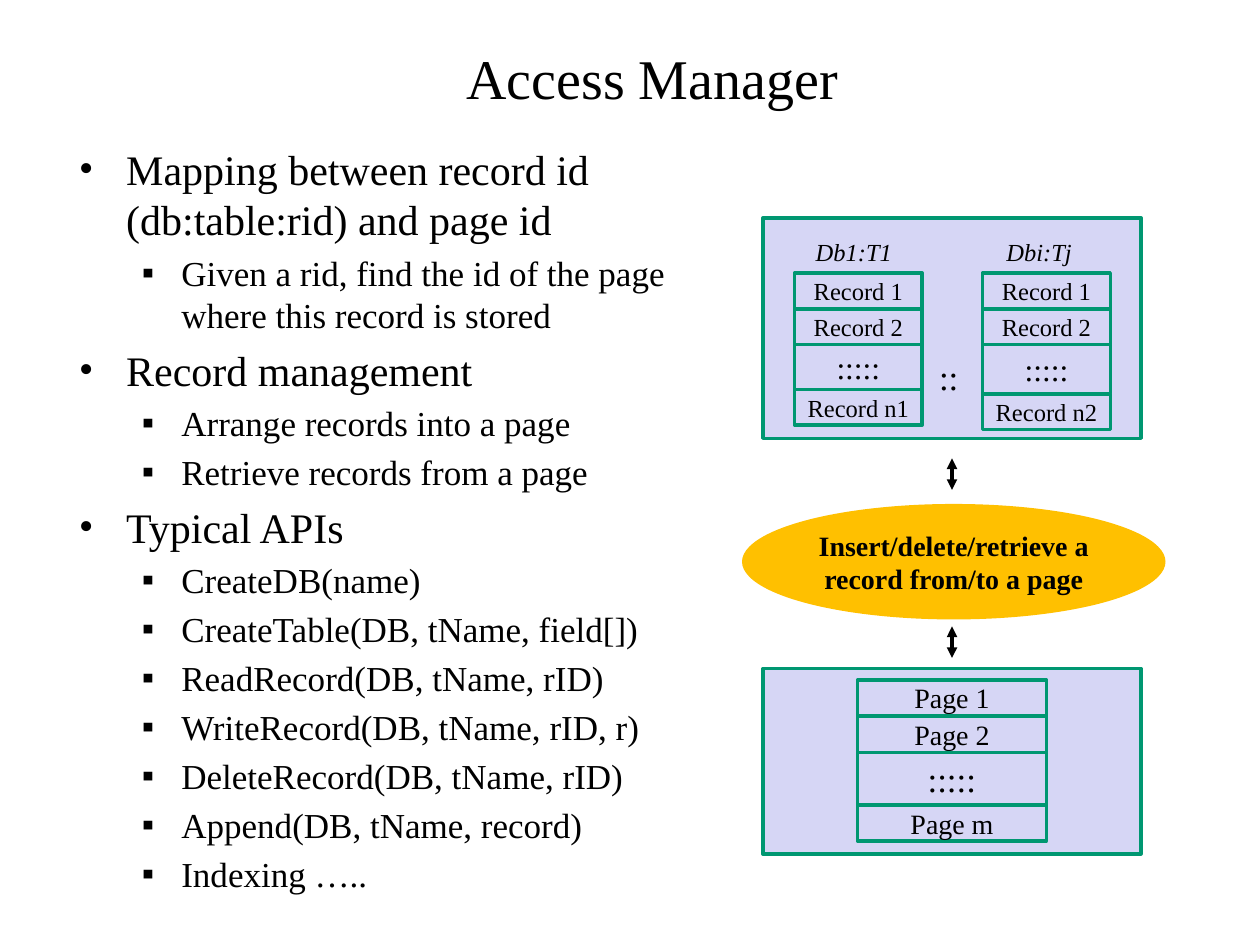
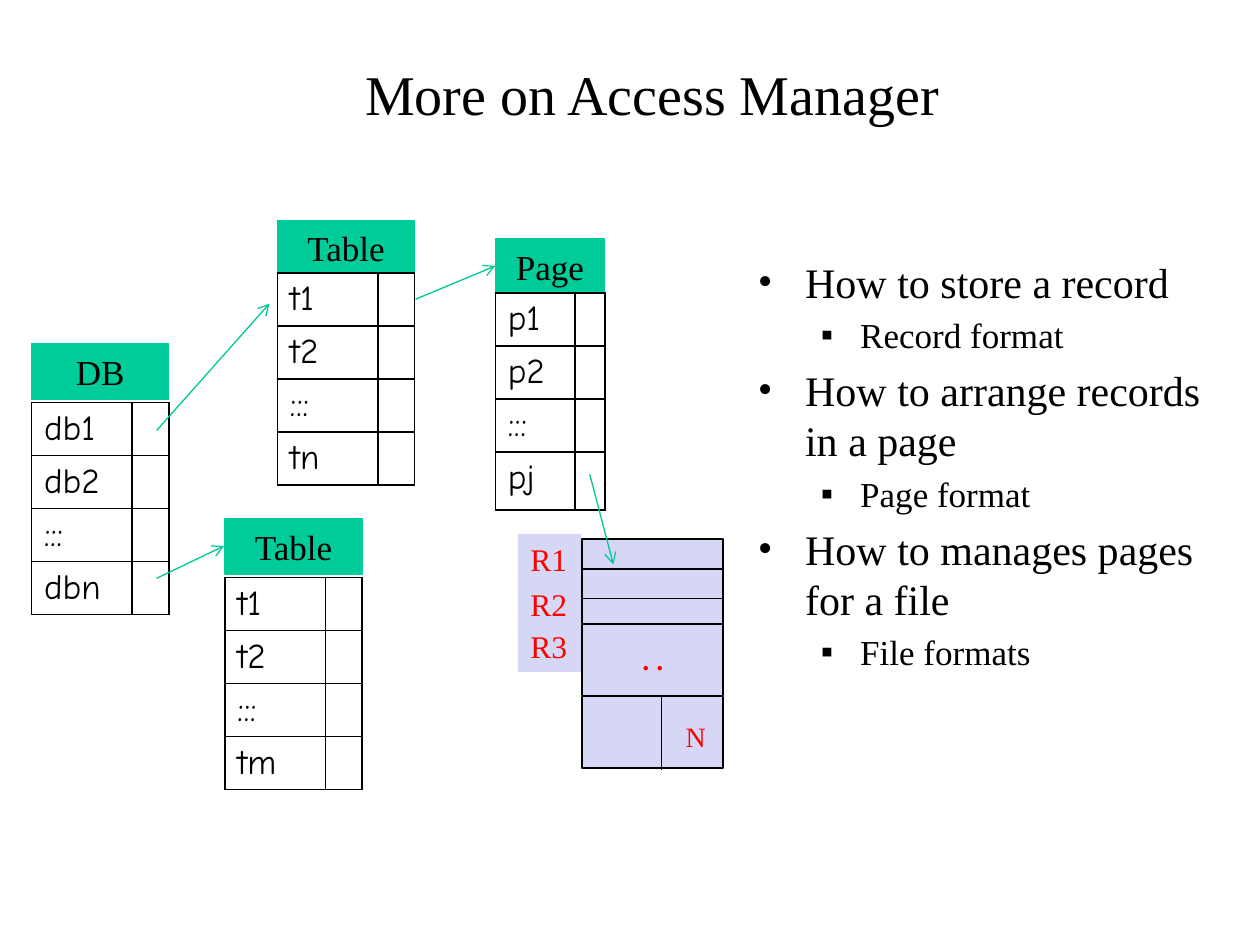
from lxml import etree
from pptx import Presentation
from pptx import util as u
from pptx.dml.color import RGBColor
from pptx.enum import shapes, text
from pptx.oxml import ns

BLACK = RGBColor(0x00, 0x00, 0x00)
WHITE = RGBColor(0xFF, 0xFF, 0xFF)
RED = RGBColor(0xFF, 0x00, 0x00)
LAVENDER = RGBColor(0xD6, 0xD6, 0xF5)
DARK_GREEN = RGBColor(0x00, 0x97, 0x71)
GREEN = RGBColor(0x00, 0xCC, 0x99)
ARROW_GREEN = RGBColor(0x00, 0xC8, 0x96)
AMBER = RGBColor(0xFF, 0xC0, 0x00)
SERIF = "Times New Roman"
HAND = "Comic Neue"
RECT = shapes.MSO_SHAPE.RECTANGLE
OVAL = shapes.MSO_SHAPE.OVAL
CENTER = text.PP_ALIGN.CENTER
LEFT = text.PP_ALIGN.LEFT
TOP = text.MSO_ANCHOR.TOP
MIDDLE = text.MSO_ANCHOR.MIDDLE

# Bullet levels: mark, text indent, hanging indent, text size, space before
LEVELS = [("•", 27, 27, 24, 5), ("▪", 58.5, 22.5, 20, 4)]


def add_element(parent, tag, **attributes):
    return etree.SubElement(parent, ns.qn(tag), attributes)


def points(*lengths):
    return [u.Pt(length) for length in lengths]


def write(para, words, size=20, font=SERIF, color=BLACK, bold=False,
          italic=False, align=LEFT):
    para.alignment = align
    span = para.add_run()
    span.text = words
    span.font.size = u.Pt(size)
    span.font.name = font
    span.font.color.rgb = color
    span.font.bold = bold
    span.font.italic = italic


def set_frame(box, anchor=TOP, wrap=True):
    frame = box.text_frame
    frame.auto_size = text.MSO_AUTO_SIZE.NONE
    frame.word_wrap = wrap
    frame.vertical_anchor = anchor
    return frame


def add_titled_page(deck, title, height):
    page = deck.slides.add_slide(deck.slide_layouts[5])
    box = page.shapes.title
    box.left, box.top, box.width, box.height = points(84, 18, 577.5, height)
    write(set_frame(box, MIDDLE).paragraphs[0], title, size=32, align=CENTER)
    return page


def add_bullets(page, place, items):
    """Write (level, words) pairs as a two-level bulleted list."""
    frame = set_frame(page.shapes.add_textbox(*points(*place)))
    for index, (level, words) in enumerate(items):
        para = frame.add_paragraph() if index else frame.paragraphs[0]
        mark, indent, hanging, size, before = LEVELS[level]
        props = para._p.get_or_add_pPr()
        props.set("marL", str(u.Pt(indent)))
        props.set("indent", str(-u.Pt(hanging)))
        add_element(props, "a:buFont", typeface=SERIF)
        add_element(props, "a:buChar", char=mark)
        para.level = level
        para.space_before = u.Pt(before if index else 0)
        write(para, words, size=size)


def add_box(page, place, words="", kind=RECT, fill=None, line=None, weight=2,
            anchor=MIDDLE, wrap=False, align=CENTER, **style):
    box = page.shapes.add_shape(kind, *points(*place))
    box.shadow.inherit = False
    if fill is None:
        box.fill.background()
    else:
        box.fill.solid()
        box.fill.fore_color.rgb = fill
    if line is None:
        box.line.fill.background()
    else:
        box.line.color.rgb = line
        box.line.width = u.Pt(weight)
    if words:
        write(set_frame(box, anchor, wrap).paragraphs[0], words, align=align, **style)


def add_label(page, place, words, **style):
    frame = set_frame(page.shapes.add_textbox(*points(*place)), wrap=False)
    write(frame.paragraphs[0], words, **style)


def add_line(page, ends, color, weight, head=None, tail=None):
    line = page.shapes.add_connector(shapes.MSO_CONNECTOR.STRAIGHT, *points(*ends))
    line.line.color.rgb = color
    line.line.width = u.Pt(weight)
    outline = line.line._get_or_add_ln()
    for tag, end in (("a:headEnd", head), ("a:tailEnd", tail)):
        if end:
            add_element(outline, tag, type=end)
    add_element(line._element.spPr, "a:effectLst")


def add_stack(page, left, top, width, names, heights, size, dots_size):
    """Pile outlined cells on one another; a cell of dots has its own size."""
    for name, height in zip(names, heights):
        add_box(page, (left, top, width, height), name, line=DARK_GREEN,
                size=dots_size if name == ":::::" else size)
        top += height


def format_cell(cell):
    props = cell._tc.get_or_add_tcPr()
    for side in ("a:lnL", "a:lnR", "a:lnT", "a:lnB"):
        border = add_element(props, side, w=str(u.Pt(1)))
        add_element(add_element(border, "a:solidFill"), "a:srgbClr", val=str(BLACK))
    cell.fill.solid()
    cell.fill.fore_color.rgb = WHITE


def add_directory(page, title, left, title_top, table_top, widths, names,
                  last_height=29.25):
    """Draw a green heading over a table of names and empty pointer cells."""
    width = sum(widths)
    add_box(page, (left, title_top, width, 31.5), title, fill=GREEN, line=GREEN,
            weight=0.75, anchor=TOP)
    heights = [29.25] * (len(names) - 1) + [last_height]
    table = page.shapes.add_table(len(names), 2, *points(
        left, table_top, width, sum(heights))).table
    table.first_row = table.horz_banding = False
    for column, column_width in zip(table.columns, widths):
        column.width = u.Pt(column_width)
    for row, height, name in zip(table.rows, heights, names):
        row.height = u.Pt(height)
        for cell in row.cells:
            format_cell(cell)
        write(row.cells[0].text_frame.paragraphs[0], name, font=HAND)


def build_access_manager(deck):
    page = add_titled_page(deck, "Access Manager", 52)
    add_bullets(page, (38, 78.5, 384, 420), [
        (0, "Mapping between record id (db:table:rid) and page id"),
        (1, "Given a rid, find the id of the page where this record is stored"),
        (0, "Record management"),
        (1, "Arrange records into a page"),
        (1, "Retrieve records from a page"),
        (0, "Typical APIs"),
        (1, "CreateDB(name)"),
        (1, "CreateTable(DB, tName, field[])"),
        (1, "ReadRecord(DB, tName, rID)"),
        (1, "WriteRecord(DB, tName, rID, r)"),
        (1, "DeleteRecord(DB, tName, rID)"),
        (1, "Append(DB, tName, record)"),
        (1, "Indexing ….."),
    ])
    for top, height in ((382, 106), (124.5, 126)):
        add_box(page, (436, top, 216, height), fill=LAVENDER, line=DARK_GREEN)

    for left, dots_height, last in ((454, 25.5, "Record n1"), (561.5, 28, "Record n2")):
        add_stack(page, left, 156, 73, ["Record 1", "Record 2", ":::::", last],
                  [20.5, 20.5, dots_height, 20.5], size=14, dots_size=18)
    add_label(page, (459, 132, 60, 24), "Db1:T1", size=14, italic=True)
    add_label(page, (568, 132, 52, 24), "Dbi:Tj", size=14, italic=True)
    add_label(page, (529.5, 199.5, 26.5, 31.5), "::")

    add_stack(page, 490, 388.5, 108, ["Page 1", "Page 2", ":::::", "Page m"],
              [20.5, 21, 30, 20.5], size=16, dots_size=20)
    add_box(page, (424, 288, 242, 66), "Insert/delete/retrieve a record from/to a page",
            kind=OVAL, fill=AMBER, wrap=True, size=16, bold=True)
    for top in (262, 358):
        add_line(page, (544, top, 544, top + 18), BLACK, 2,
                 head="triangle", tail="triangle")


def build_record_page(page):
    for name, top in (("R1", 305), ("R2", 331), ("R3", 355)):
        add_box(page, (296, top, 36, 29), name, fill=LAVENDER, anchor=TOP,
                align=LEFT, size=18, color=RED)
    for top, height in ((308, 17), (325, 17), (342, 17), (356.5, 41), (398, 41)):
        add_box(page, (332.5, top, 80.5, height), fill=LAVENDER, line=BLACK, weight=1)
    add_line(page, (378, 398, 378, 440), BLACK, 1)
    add_box(page, (360, 363.5, 30, 26.5), ". .", fill=LAVENDER, anchor=TOP,
            align=LEFT, size=16, color=RED, bold=True)
    add_box(page, (384.5, 407.5, 26, 26.5), "N", fill=LAVENDER, anchor=TOP,
            size=16, color=RED)


def build_more_on_access_manager(deck):
    page = add_titled_page(deck, "More on Access Manager", 70.5)
    add_bullets(page, (426, 143, 272, 266.5), [
        (0, "How to store a record"),
        (1, "Record format"),
        (0, "How to arrange records in a page"),
        (1, "Page format"),
        (0, "How to manages pages for a file"),
        (1, "File formats"),
    ])
    build_record_page(page)
    wide, narrow = (57.5, 21), (45.5, 17)
    add_directory(page, "DB", 18, 196.5, 230, wide, ["db1", "db2", ":::", "dbn"])
    add_directory(page, "Table", 158.5, 126, 156, wide, ["t1", "t2", ":::", "tn"])
    add_directory(page, "Table", 128.5, 296.5, 330, wide, ["t1", "t2", ":::", "tm"])
    add_directory(page, "Page", 283, 136.5, 167.5, narrow, ["p1", "p2", ":::", "pj"],
                  last_height=33)
    for ends in ((237.5, 171, 283, 152), (337, 271, 350.5, 322.5),
                 (89.5, 246, 154, 173.5), (89.5, 330.5, 128, 312)):
        add_line(page, ends, ARROW_GREEN, 0.75, tail="arrow")


def main():
    deck = Presentation()
    deck.slide_width, deck.slide_height = points(720, 540)
    build_access_manager(deck)
    build_more_on_access_manager(deck)
    deck.save("out.pptx")


if __name__ == "__main__":
    main()
